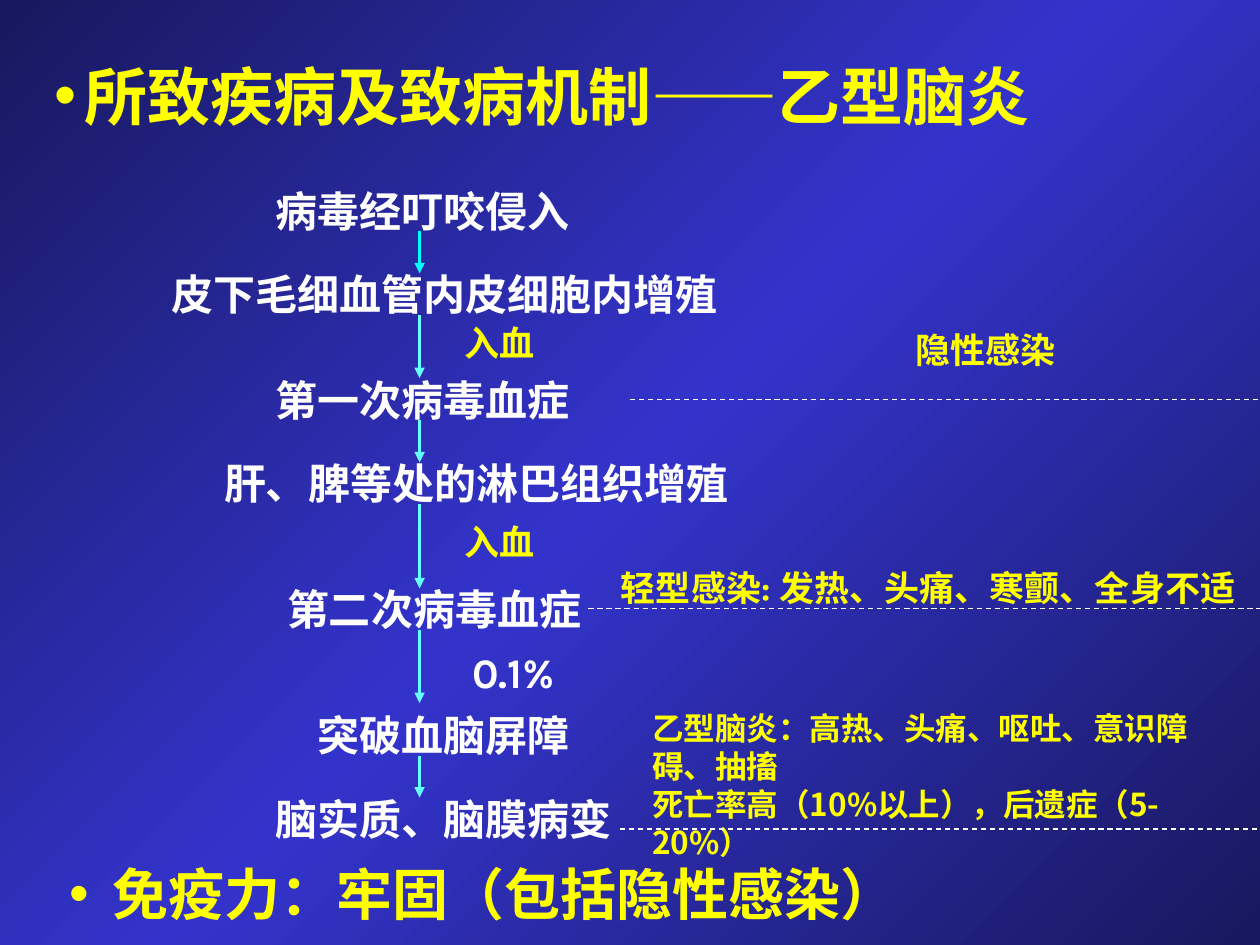
"""Build the slide on how Japanese encephalitis infects and causes disease."""
from copy import deepcopy

from lxml import etree
from pptx import Presentation
from pptx.dml.color import RGBColor
from pptx.enum.dml import MSO_LINE
from pptx.enum.shapes import MSO_CONNECTOR
from pptx.enum.text import MSO_ANCHOR, MSO_AUTO_SIZE, PP_ALIGN
from pptx.oxml.ns import qn
from pptx.util import Inches, Pt

STRAIGHT = MSO_CONNECTOR.STRAIGHT
DASH = MSO_LINE.DASH
MIDDLE = MSO_ANCHOR.MIDDLE
FIT_SHAPE = MSO_AUTO_SIZE.SHAPE_TO_FIT_TEXT
LEFT = PP_ALIGN.LEFT

YELLOW, WHITE = "FFFF00", "FFFFFF"
CYAN, PALE_CYAN = "00FFFF", "66FFFF"
LATIN, CJK, SERIF = "Karla", "Noto Sans CJK SC", "Times New Roman"
BACKGROUND = [(0, "18185E"), (0.5, "3333CC"), (1, "18185E")]
BULLET_GAP = 0.24

TITLE = "所致疾病及致病机制——乙型脑炎"
IMMUNITY = " 免疫力：牢固（包括隐性感染）"
STAGES = [
    ("病毒经叮咬侵入", 2.09, 1.42, 2.54),
    ("皮下毛细血管内皮细胞内增殖", 1.26, 2.08, 4.54),
    ("第一次病毒血症", 2.09, 2.92, 2.54),
    ("肝、脾等处的淋巴组织增殖", 1.68, 3.58, 4.2),
    ("第二次病毒血症", 2.18, 4.58, 2.54),
    ("0.1%", 3.65, 5.08, 1.1),
    ("突破血脑屏障", 2.42, 5.58, 2.21),
    ("脑实质、脑膜病变", 2.09, 6.25, 2.9),
]
LABELS = [
    ("入血", 3.59, 2.5, 0.78),
    ("入血", 3.59, 4.08, 0.78),
    ("隐性感染", 7.17, 2.56, 1.33),
]
MILD = "轻型感染: 发热、头痛、寒颤、全身不适"
SEVERE = [
    "乙型脑炎：高热、头痛、呕吐、意识障碍、抽搐",
    "死亡率高（10%以上），后遗症（5-20%）",
]
ARROW_X = 3.33
ARROWS = [
    (1.83, 2.17, CYAN, 1.5),
    (2.5, 3, PALE_CYAN, 1.75),
    (3.33, 3.67, PALE_CYAN, 1.75),
    (4, 4.67, PALE_CYAN, 1.75),
    (5, 5.58, PALE_CYAN, 1.75),
    (6, 6.33, PALE_CYAN, 1.75),
]
DIVIDERS = [(5, 3.17), (4.67, 4.83), (4.92, 6.58)]


def rgb(value):
    return RGBColor.from_string(value)


def paint_background(page):
    fill = page.background.fill
    fill.gradient()
    fill.gradient_angle = 315
    stop_list = page.element.find(".//" + qn("a:gsLst"))
    stop_list.append(deepcopy(stop_list[0]))
    for stop, (position, color) in zip(fill.gradient_stops, BACKGROUND):
        stop.position = position
        stop.color.rgb = rgb(color)


def write(frame, lines, size, color, font=LATIN, bullet=False):
    for index, line in enumerate(lines):
        para = frame.add_paragraph() if index else frame.paragraphs[0]
        para.alignment = LEFT
        if bullet:
            add_bullet(para, color)
        span = para.add_run()
        span.text = line
        span.font.size = Pt(size)
        span.font.bold = True
        span.font.color.rgb = rgb(color)
        span.font.name = font
        properties = span.font._element
        etree.SubElement(properties, qn("a:ea"), typeface=CJK)


def add_bullet(para, color):
    properties = para._p.get_or_add_pPr()
    properties.set("marL", str(Inches(BULLET_GAP)))
    properties.set("indent", str(-Inches(BULLET_GAP)))
    bullet_color = etree.SubElement(properties, qn("a:buClr"))
    etree.SubElement(bullet_color, qn("a:srgbClr"), val=color)
    etree.SubElement(properties, qn("a:buFont"), typeface="Arial")
    etree.SubElement(properties, qn("a:buChar"), char="•")


def add_text(page, place, lines, size, color, font=LATIN, wrap=False, bullet=False):
    box = page.shapes.add_textbox(*map(Inches, place))
    box.text_frame.word_wrap = wrap
    box.text_frame.auto_size = FIT_SHAPE
    write(box.text_frame, lines, size, color, font, bullet)


def add_line(page, start, end, color, width):
    line = page.shapes.add_connector(STRAIGHT, *map(Inches, start + end))
    line.line.color.rgb = rgb(color)
    line.line.width = Pt(width)
    etree.SubElement(line._element.spPr, qn("a:effectLst"))
    return line


def main():
    deck = Presentation()
    deck.slide_width, deck.slide_height = Inches(10), Inches(7.5)
    page = deck.slides.add_slide(deck.slide_layouts[5])
    paint_background(page)

    title = page.shapes.title
    title.left, title.top, title.width, title.height = map(Inches, (0.33, 0.25, 8.58, 1.01))
    title.text_frame.vertical_anchor = MIDDLE
    write(title.text_frame, [TITLE], 36, YELLOW, SERIF, bullet=True)

    for text, left, top, width in STAGES:
        add_text(page, (left, top, width, 0.5), [text], 24, WHITE)
    for text, left, top, width in LABELS:
        add_text(page, (left, top, width, 0.44), [text], 20, YELLOW)
    add_text(page, (4.83, 4.45, 5.17, 0.77), [MILD], 20, YELLOW, wrap=True)
    add_text(page, (5.08, 5.58, 4.67, 1.3), SEVERE, 18, YELLOW, CJK, wrap=True)

    for top, bottom, color, width in ARROWS:
        arrow = add_line(page, (ARROW_X, top), (ARROW_X, bottom), color, width)
        etree.SubElement(arrow.line._get_or_add_ln(), qn("a:tailEnd"), type="triangle")
    for left, y in DIVIDERS:
        add_line(page, (left, y), (10, y), WHITE, 0.75).line.dash_style = DASH

    add_text(page, (0.45, 6.77, 6.82, 0.64), [IMMUNITY], 32, YELLOW, bullet=True)
    deck.save("out.pptx")


if __name__ == "__main__":
    main()
